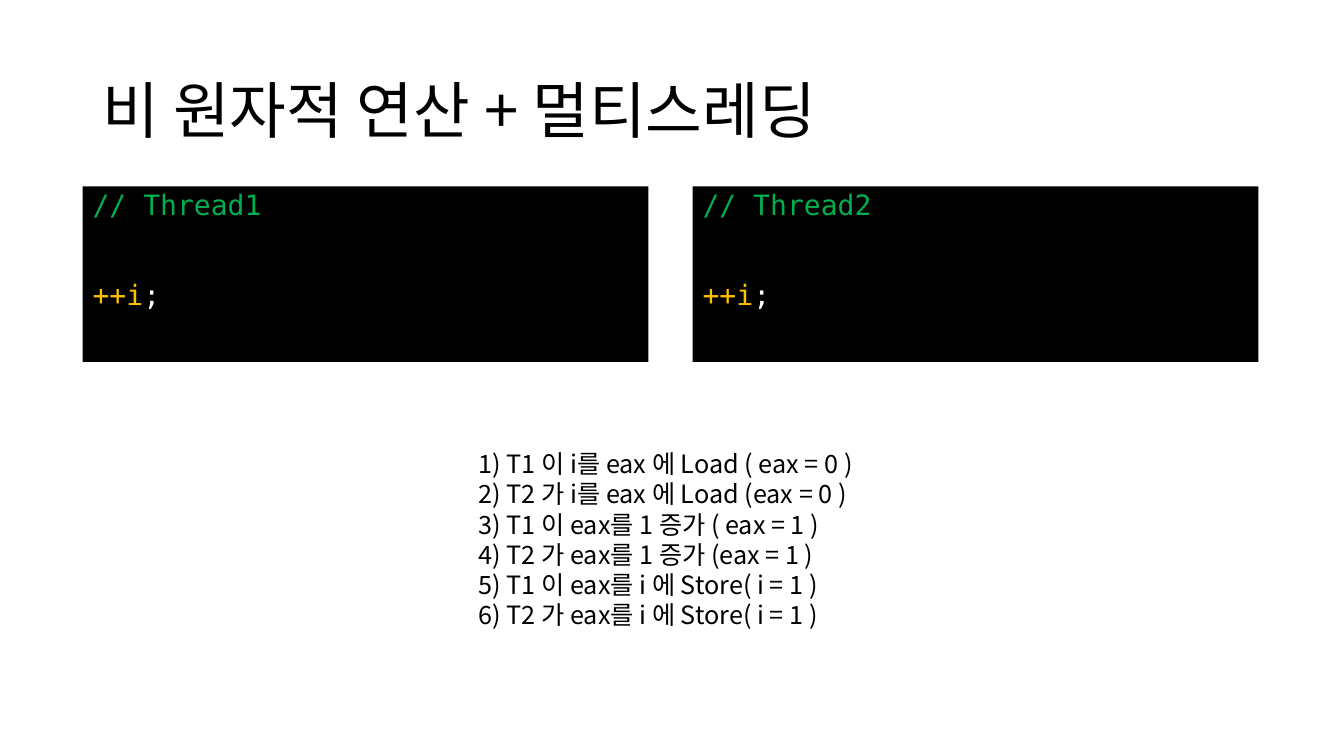
from dataclasses import dataclass

from lxml import etree
from pptx import Presentation
from pptx import util as u
from pptx.dml.color import RGBColor
from pptx.enum import shapes, text
from pptx.oxml import ns


@dataclass(frozen=True)
class Theme:
    ink: str = "000000"
    panel: str = "000000"
    comment: str = "00B050"
    code: str = "FFC000"
    plain: str = "FFFFFF"
    body_font: str = "Noto Sans CJK KR"
    code_font: str = "DejaVu Sans Mono"
    title_size: int = 44
    code_size: int = 20
    step_size: int = 18


THEME = Theme()

STEPS = [
    "1) T1 이 i를 eax 에 Load ( eax = 0 )",
    "2) T2 가 i를 eax 에 Load (eax = 0 )",
    "3) T1 이 eax를 1 증가 ( eax = 1 )",
    "4) T2 가 eax를 1 증가 (eax = 1 )",
    "5) T1 이 eax를 i 에 Store( i = 1 )",
    "6) T2 가 eax를 i 에 Store( i = 1 )",
]


def add_span(para, words, font, size, color):
    span = para.add_run()
    span.text = words
    span.font.name = font
    span.font.size = u.Pt(size)
    span.font.color.rgb = RGBColor.from_string(color)
    # Korean letters take their font from the East Asian slot
    east_asian = etree.SubElement(span.font._element, ns.qn("a:ea"))
    east_asian.set("typeface", font)


def add_text(page, left, top, width, height, lines, size,
             anchor=text.MSO_ANCHOR.TOP, line_spacing=1.0):
    box = page.shapes.add_textbox(*map(u.Inches, (left, top, width, height)))
    frame = box.text_frame
    frame.word_wrap = True
    frame.vertical_anchor = anchor
    for index, line in enumerate(lines):
        para = frame.add_paragraph() if index else frame.paragraphs[0]
        para.line_spacing = line_spacing
        add_span(para, line, THEME.body_font, size, THEME.ink)
    return box


def add_code_panel(page, left, thread):
    panel = page.shapes.add_shape(
        shapes.MSO_SHAPE.RECTANGLE,
        *map(u.Inches, (left, 1.85, 5.61, 1.74)))
    panel.shadow.inherit = False
    panel.fill.solid()
    panel.fill.fore_color.rgb = RGBColor.from_string(THEME.panel)
    panel.line.fill.background()

    frame = panel.text_frame
    frame.word_wrap = True
    frame.vertical_anchor = text.MSO_ANCHOR.TOP
    code_lines = [
        [(f"// Thread{thread}", THEME.comment)],
        [("++i", THEME.code), (";", THEME.plain)],
    ]
    for index, spans in enumerate(code_lines):
        para = frame.add_paragraph() if index else frame.paragraphs[0]
        para.alignment = text.PP_ALIGN.LEFT
        para.line_spacing = 0.9
        para.space_before = u.Pt(42.5 * index)
        for words, color in spans:
            add_span(para, words, THEME.code_font, THEME.code_size, color)


def main():
    deck = Presentation()
    deck.slide_width = u.Inches(13.33)
    deck.slide_height = u.Inches(7.5)
    page = deck.slides.add_slide(deck.slide_layouts[6])

    # Title
    add_text(page, 0.92, 0.4, 11.5, 1.45, ["비 원자적 연산 + 멀티스레딩"],
             THEME.title_size, text.MSO_ANCHOR.MIDDLE, 0.9)

    # One code panel per thread
    for index in range(2):
        add_code_panel(page, 0.82 + 6.05 * index, index + 1)

    # Order in which the two threads run
    steps = add_text(page, 4.65, 4.4, 8.04, 1.92, STEPS, THEME.step_size)
    steps.text_frame.auto_size = text.MSO_AUTO_SIZE.SHAPE_TO_FIT_TEXT

    deck.save("out.pptx")


if __name__ == "__main__":
    main()
